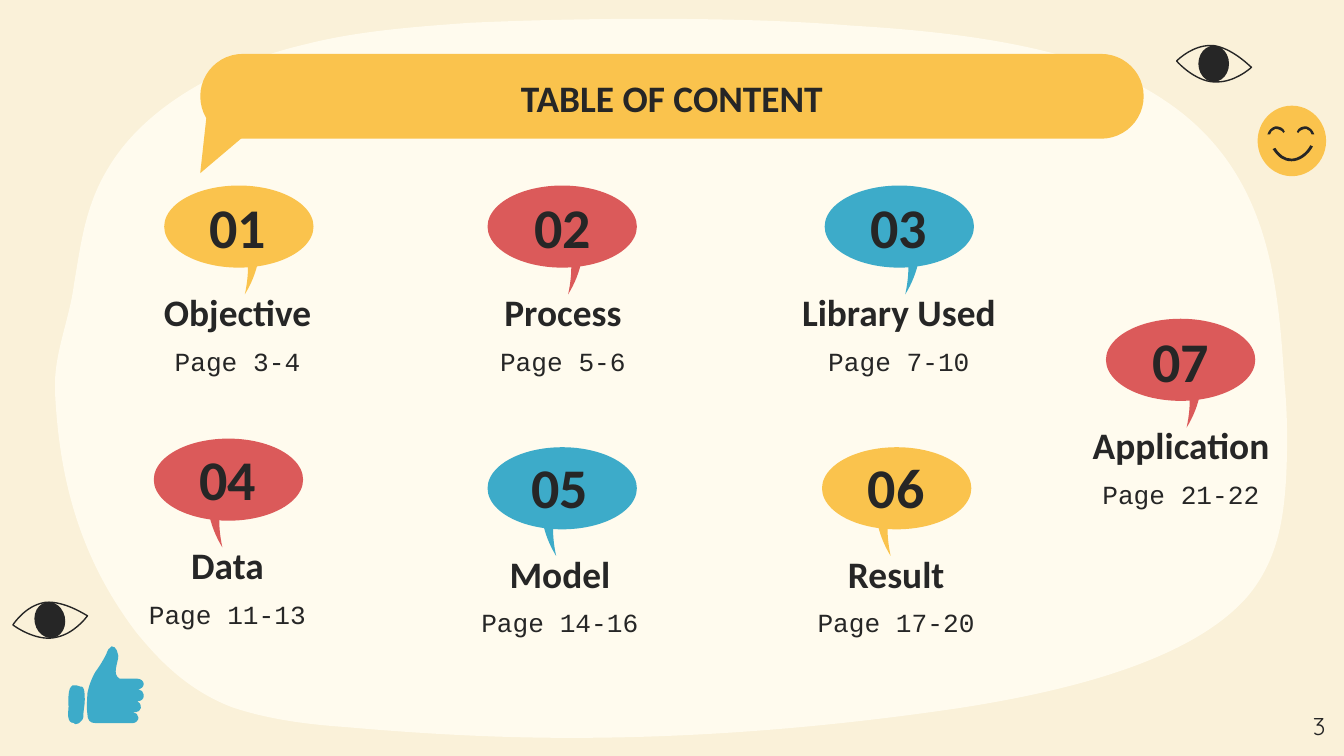
from lxml.etree import SubElement
from pptx import Presentation
from pptx.dml.color import RGBColor
from pptx.enum.shapes import MSO_SHAPE as Shape
from pptx.enum.text import MSO_ANCHOR as Anchor, PP_ALIGN as Align
from pptx.oxml.ns import qn
from pptx.util import Pt

CREAM = RGBColor(0xFA, 0xF1, 0xD9)
IVORY = RGBColor(0xFF, 0xFB, 0xEE)
INK = RGBColor(0x26, 0x26, 0x26)
YELLOW = RGBColor(0xFA, 0xC3, 0x4D)
RED = RGBColor(0xDB, 0x5A, 0x5A)
BLUE = RGBColor(0x3D, 0xAB, 0xC9)

HEADING = "TABLE OF CONTENT"
PAGE_NUMBER = "3"
TAIL_RIGHT, TAIL_LEFT = False, True
CHAPTERS = [
    ("Objective", "Page 3-4", YELLOW, 88, 99.4, 127.3, TAIL_RIGHT),
    ("Process", "Page 5-6", RED, 261.2, 99.4, 301.6, TAIL_RIGHT),
    ("Library Used", "Page 7-10", BLUE, 441.8, 99.4, 481.6, TAIL_RIGHT),
    ("Data", "Page 11-13", RED, 82.4, 235, 121.9, TAIL_LEFT),
    ("Model", "Page 14-16", BLUE, 261.2, 239.6, 300, TAIL_LEFT),
    ("Result", "Page 17-20", YELLOW, 440.4, 239.6, 480.1, TAIL_LEFT),
    ("Application", "Page 21-22", RED, 592.5, 170.8, 632.7, TAIL_RIGHT),
]
BUBBLE_W, BUBBLE_H = 80, 44

BLOB = [
    (347, 10.1), (315.4, 10.1, 283.7, 10.8, 252, 12.2),
    (221.8, 14.4, 191.5, 16.6, 163.4, 23.8), (114.5, 35.3, 75.6, 59.8, 57.6, 90.7),
    (45.4, 110.9, 43.2, 131.8, 39.6, 152.6), (37.4, 169.9, 30.2, 186.5, 29.5, 203.8),
    (29.5, 205.9, 29.5, 208.1, 29.5, 210.2), (31.7, 254.9, 41.8, 297.4, 72.7, 338.4),
    (85, 353.5, 100.1, 369.4, 123.8, 378.7), (142.6, 385.2, 164.2, 388.1, 185, 389.5),
    (225.4, 393.1, 265.7, 395.3, 306, 395.3), (375.8, 395.3, 445, 389.5, 513.4, 379.4),
    (573.8, 370.1, 638.6, 353.5, 668.2, 319.7), (684.7, 300.2, 687.6, 277.9, 689, 256.3),
    (689.8, 239.8, 689.8, 223.2, 688.3, 206.6), (684.7, 157, 682.6, 92.9, 624.2, 54),
    (583.2, 25.9, 517, 17.3, 455.8, 13.7), (419.8, 10.8, 383, 10.1, 347, 10.1),
]
EYELID = [
    (18.7, 0.5), (20.2, 0.5), (30.2, 2, 38.9, 10.8, 40.6, 12.2),
    (39, 13.7, 31.2, 20, 22.3, 20), (20.2, 20),
    (10.8, 19.4, 2.2, 10.8, 0.5, 8.8), (2.2, 7.2, 9.4, 0.5, 18.7, 0.5),
]
EYES = [(6.3, 321.9, 348.2), (629.8, 23.9, 0)]
BROW = [
    (683.3, 67.7), (681.1, 68.4, 679.7, 69.8, 679, 72), (680.4, 72),
    (680.4, 70.6, 681.8, 69.8, 683.3, 69.1), (684.7, 69.1, 686.9, 69.8, 687.6, 71.3),
    (688.3, 70.6), (687.6, 68.4, 685.4, 67.7, 683.3, 67.7),
]
SMILE = [
    (691.9, 86.4), (696.2, 86.4, 700.6, 83.5, 703.4, 78.5), (702, 77.8),
    (699.8, 82.1, 695.5, 85, 691.9, 85), (688.3, 85, 685.4, 82.8, 683.3, 79.2),
    (681.8, 79.9), (684.7, 84.2, 687.6, 86.4, 691.9, 86.4),
]
FACE_SPAN = 1383.1
THUMB = [
    (59.8, 346.3), (58.3, 347, 57.6, 348.5, 56.9, 350.6),
    (55.4, 353.5, 53.3, 357.1, 51.1, 360), (49, 363.6, 47.5, 367.9, 46.8, 371.5),
    (46.8, 375.1, 46.1, 378.7, 46.8, 382.3), (46.8, 385.9, 48.2, 387.4, 51.1, 387.4),
    (71.3, 387.4), (72.7, 387.4, 74.2, 385.9, 74.2, 384.5),
    (74.2, 383, 72.7, 381.6, 71.3, 381.6), (72.7, 381.6),
    (75.6, 381.6, 77, 377.3, 73.4, 375.8), (75.6, 375.8, 77, 374.4, 77, 373),
    (77, 372.2), (77, 370.8, 75.6, 369.4, 74.2, 369.4), (73.4, 369.4),
    (75.6, 369.4, 77, 367.9, 77, 366.5), (77, 365, 75.6, 363.6, 73.4, 363.6),
    (64.1, 363.6), (59.8, 361.4, 63.4, 355, 63.4, 351.4),
    (63.4, 350.6, 62.6, 349.2, 62.6, 348.5), (61.9, 347, 61.2, 346.3, 59.8, 346.3),
]
CUFF = [
    (40.3, 367.2), (38.9, 367.2), (36, 368.6, 36.7, 375.8, 36.7, 378.7),
    (36.7, 380.9, 35.3, 387.4, 39.6, 387.4), (40.3, 388),
    (41.8, 388, 42.5, 387.4, 43.2, 386.6), (43.9, 385.9, 44.6, 385.2, 44.6, 384.5),
    (44.6, 380.9, 45.4, 378, 45.4, 375.1), (45.4, 373.7, 45.4, 369.4, 44.6, 368.6),
    (43.9, 367.9), (43.2, 367.9), (41, 367.2),
]
TAIL = [
    (50.4, 19.4), (53.3, 32.4, 50.4, 46.8, 43.2, 58.3),
    (46.1, 45.4, 45.4, 32.4, 40.3, 20.2),
]

prs = Presentation()
prs.slide_width, prs.slide_height = Pt(720), Pt(405)
slide = prs.slides.add_slide(prs.slide_layouts[6])
slide.background.fill.solid()
slide.background.fill.fore_color.rgb = CREAM


def paint(shape, color):
    shape.shadow.inherit = False
    shape.fill.solid()
    shape.fill.fore_color.rgb = color
    shape.line.fill.background()
    return shape


def add_outline(outline, color, dx=0, dy=0, mirror=None):
    segments = [
        [(Pt((mirror - x if mirror else x) + dx), Pt(y + dy))
         for x, y in zip(segment[::2], segment[1::2])]
        for segment in outline]
    builder = slide.shapes.build_freeform(*segments[0][0], scale=1.0)
    builder.add_line_segments([points[-1] for points in segments[1:]], close=True)
    shape = builder.convert_to_shape()
    edges = list(shape.element.iter(qn("a:lnTo")))
    for edge, points in zip(edges, segments[1:]):
        if len(points) == 3:
            edge.tag = qn("a:cubicBezTo")
            edge.remove(edge[0])
            for x, y in points:
                SubElement(edge, qn("a:pt"), x=str(x - shape.left), y=str(y - shape.top))
    return paint(shape, color)


def add_preset(kind, left, top, width, height, color):
    return paint(slide.shapes.add_shape(
        kind, Pt(left), Pt(top), Pt(width), Pt(height)), color)


def add_text(text, center, top, width, height, size, font="Calibri",
             bold=True, anchor=Anchor.BOTTOM, align=Align.CENTER):
    frame = slide.shapes.add_textbox(
        Pt(center - width / 2), Pt(top), Pt(width), Pt(height)).text_frame
    frame.word_wrap = True
    frame.vertical_anchor = anchor
    frame.margin_left = frame.margin_right = Pt(7.2)
    frame.margin_top = frame.margin_bottom = Pt(7.2)
    frame.text = text
    paragraph = frame.paragraphs[0]
    paragraph.alignment = align
    face = paragraph.runs[0].font
    face.name, face.size, face.bold = font, Pt(size), bold
    face.color.rgb = INK


add_outline(BLOB, IVORY)

for left, top, angle in EYES:
    eyelid = add_outline(EYELID, INK, left, top)
    eyelid.fill.background()
    eyelid.line.color.rgb = INK
    eyelid.line.width = Pt(0.75)
    pupil = add_preset(Shape.OVAL, left + 12.2, top + 0.6, 16.4, 19.4, INK)
    eyelid.rotation = pupil.rotation = angle

add_preset(Shape.OVAL, 673.7, 56.6, 36.7, 37.8, YELLOW)
add_outline(BROW, INK)
add_outline(BROW, INK, mirror=FACE_SPAN)
add_outline(SMILE, INK)
add_outline(THUMB, BLUE)
add_outline(CUFF, BLUE)

for number, (title, pages, color, left, top, center, tail_side) in enumerate(CHAPTERS, 1):
    add_preset(Shape.OVAL, left, top, BUBBLE_W, BUBBLE_H, color)
    add_outline(TAIL, color, left, top, BUBBLE_W if tail_side == TAIL_LEFT else None)
    add_text(title, center, top + 48.6, 185.8, 38.2, 20)
    add_text(pages, center, top + 78.3, 177.8, 56.9, 14, "Courier New", False, Anchor.TOP)
    add_text(f"{number:02d}", center, top + (8 if tail_side == TAIL_LEFT else 9), 98, 38.2, 30)

add_preset(Shape.ROUNDED_RECTANGLE, 107.3, 28.9, 505.4, 45.4, YELLOW).adjustments[0] = 0.5
banner_tail = add_preset(Shape.RIGHT_TRIANGLE, 109.4, 54.7, 38.2, 40.3, YELLOW)
banner_tail.rotation = 186.3
banner_tail.element.spPr.xfrm.set("flipH", "1")
add_text(HEADING, 360, 42.8, 607.7, 28.8, 20)

add_text(PAGE_NUMBER, 695.5, 373.7, 43.2, 31, 13, "Quicksand", False, Anchor.TOP, Align.RIGHT)

prs.save("out.pptx")
